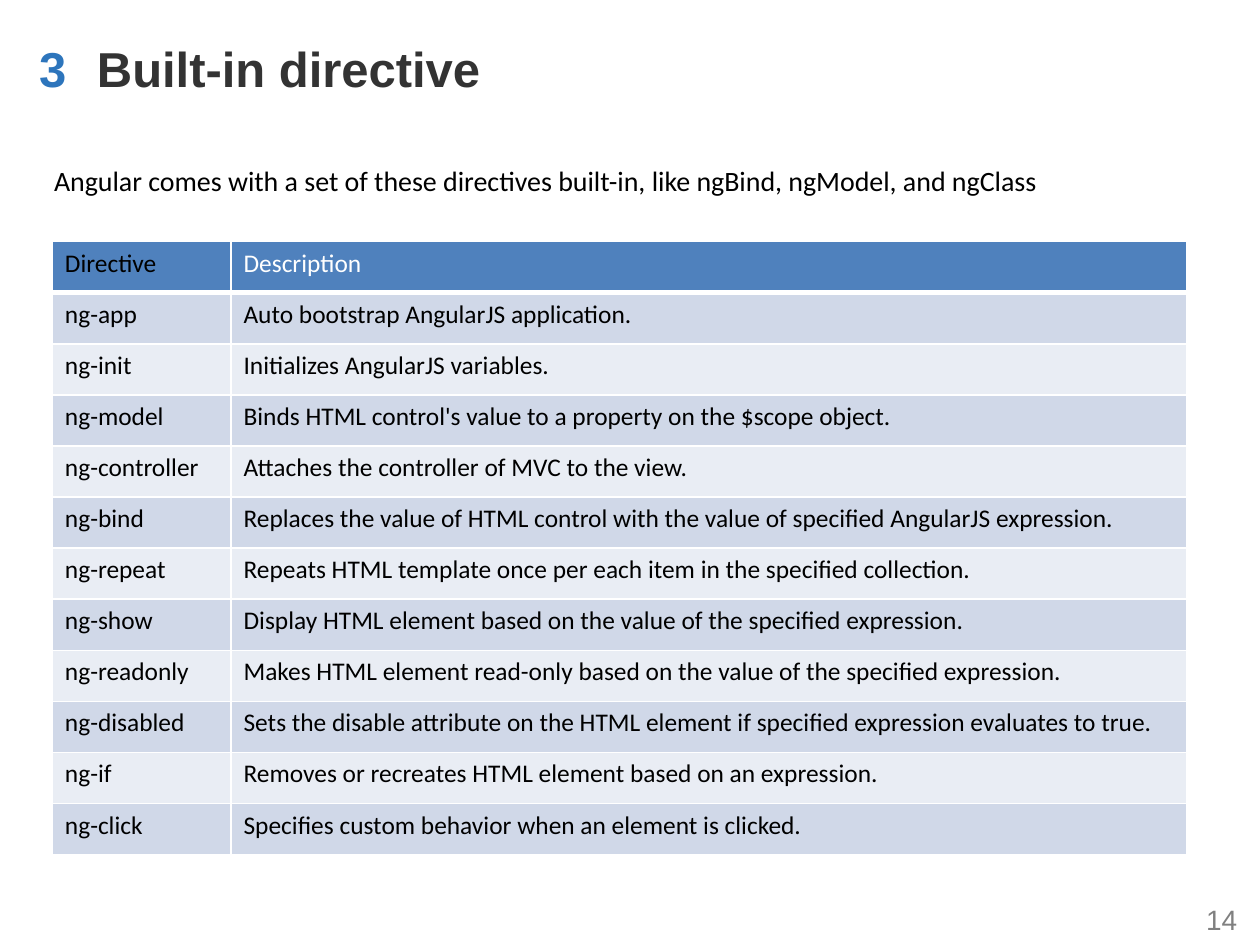
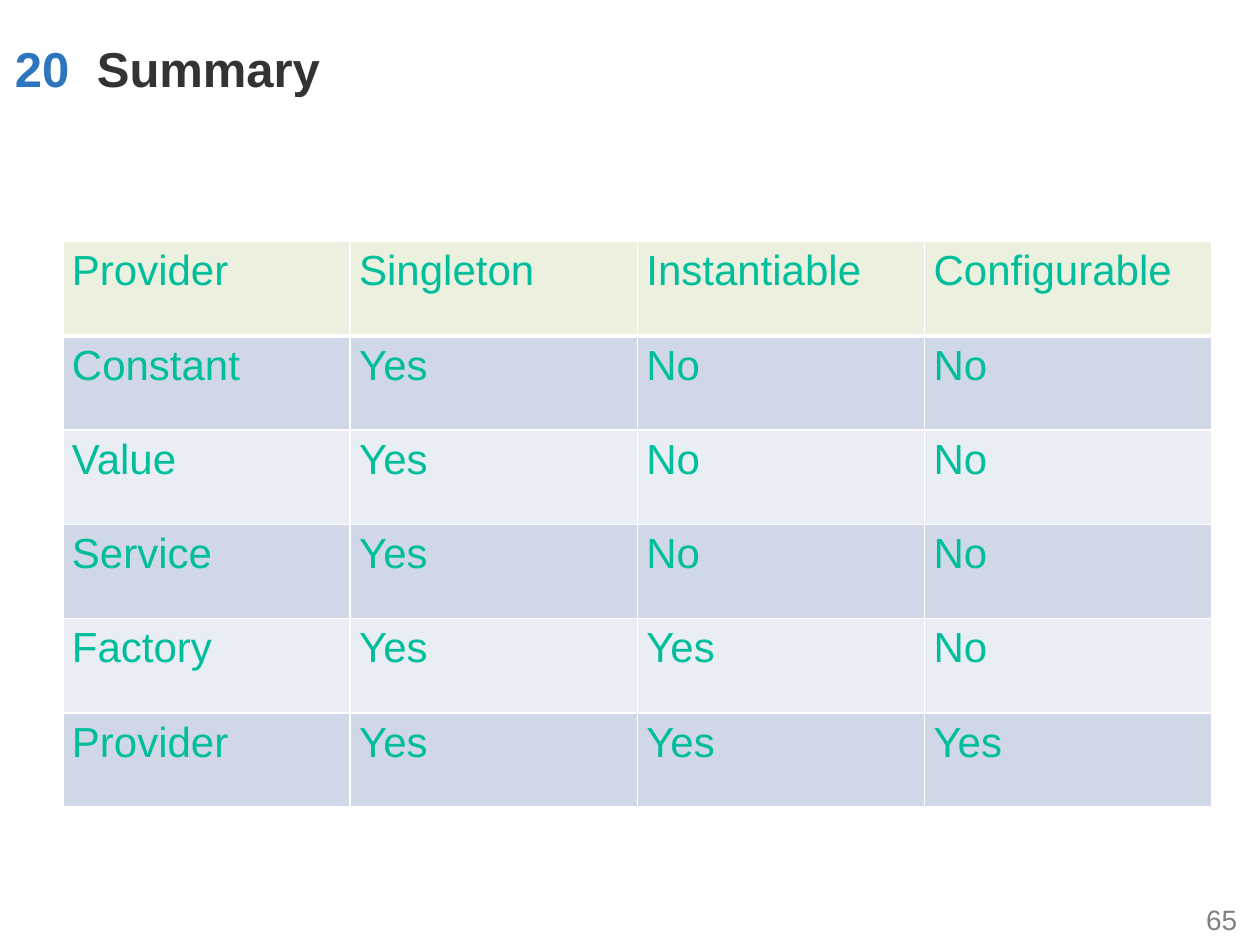
from collections import namedtuple
from dataclasses import dataclass

from lxml import etree
from pptx import Presentation
from pptx.dml.color import RGBColor
from pptx.enum.text import MSO_ANCHOR, MSO_AUTO_SIZE, PP_ALIGN
from pptx.oxml.ns import qn
from pptx.util import Cm, Pt

LEFT, CENTER, RIGHT = PP_ALIGN.LEFT, PP_ALIGN.CENTER, PP_ALIGN.RIGHT
TOP, MIDDLE = MSO_ANCHOR.TOP, MSO_ANCHOR.MIDDLE
NO_AUTOFIT = MSO_AUTO_SIZE.NONE
TITLE_ONLY = 5

Box = namedtuple("Box", "left top width height")
TextStyle = namedtuple("TextStyle", "font size color bold", defaults=(False,))


@dataclass(frozen=True)
class Theme:
    title: TextStyle = TextStyle("Arial", 28, "333333", True)
    number: TextStyle = TextStyle("Arial", 28, "2D75BC", True)
    page: TextStyle = TextStyle("Arial", 16, "808080")
    intro: TextStyle = TextStyle("Calibri", 16, "000000")
    directive: TextStyle = TextStyle("Calibri", 14.5, "000000")
    directive_header: TextStyle = TextStyle("Calibri", 14.5, "FFFFFF")
    summary: TextStyle = TextStyle("Arial", 24, "00BE9C")
    blue_header: str = "4F81BD"
    green_header: str = "EBF1DE"
    bands: tuple = ("D0D8E8", "E9EDF4")
    border: str = "FFFFFF"
    thin: float = 1
    thick: float = 3


THEME = Theme()
SLIDE = Box(0, 0, 25.4, 19.05)
HEADING = Box(0, 0.64, 23.92, 1.45)
TITLE_INDENT = 1.7
PAGE = Box(23.92, 18.03, 1.27, 1.02)
INTRO = Box(0.84, 3.17, 23.93, 0.95)
DIRECTIVE_TABLE = Box(1.06, 4.87, 22.86, 12.37)
SUMMARY_TABLE = Box(1.27, 4.87, 23.16, 11.4)

DIRECTIVES = [
    ("Directive", "Description"),
    ("ng-app", "Auto bootstrap AngularJS application."),
    ("ng-init", "Initializes AngularJS variables."),
    ("ng-model", "Binds HTML control's value to a property on the $scope object."),
    ("ng-controller", "Attaches the controller of MVC to the view."),
    ("ng-bind", "Replaces the value of HTML control with the value of specified AngularJS expression."),
    ("ng-repeat", "Repeats HTML template once per each item in the specified collection."),
    ("ng-show", "Display HTML element based on the value of the specified expression."),
    ("ng-readonly", "Makes HTML element read-only based on the value of the specified expression."),
    ("ng-disabled", "Sets the disable attribute on the HTML element if specified expression evaluates to true."),
    ("ng-if", "Removes or recreates HTML element based on an expression."),
    ("ng-click", "Specifies custom behavior when an element is clicked."),
]
PROVIDERS = [
    ("Provider", "Singleton", "Instantiable", "Configurable"),
    ("Constant", "Yes", "No", "No"),
    ("Value", "Yes", "No", "No"),
    ("Service", "Yes", "No", "No"),
    ("Factory", "Yes", "Yes", "No"),
    ("Provider", "Yes", "Yes", "Yes"),
]


def to_cm(box):
    return [Cm(length) for length in box]


def write(text_frame, text, style, alignment=LEFT):
    text_frame.text = text
    paragraph = text_frame.paragraphs[0]
    paragraph.alignment = alignment
    paragraph.font.name = style.font
    paragraph.font.size = Pt(style.size)
    paragraph.font.bold = style.bold
    paragraph.font.color.rgb = RGBColor.from_string(style.color)


def add_text(slide, box, text, style, alignment=LEFT, anchor=MIDDLE):
    text_frame = slide.shapes.add_textbox(*to_cm(box)).text_frame
    text_frame.word_wrap = True
    text_frame.vertical_anchor = anchor
    write(text_frame, text, style, alignment)


def add_heading(slide, box, number, number_left, title):
    title_shape = slide.shapes.title
    title_box = Box(box.left + TITLE_INDENT, box.top, box.width - TITLE_INDENT, box.height)
    title_shape.left, title_shape.top, title_shape.width, title_shape.height = to_cm(title_box)
    title_shape.text_frame.auto_size = NO_AUTOFIT
    title_shape.text_frame.vertical_anchor = MIDDLE
    write(title_shape.text_frame, title, THEME.title)
    number_box = Box(box.left + number_left, box.top, TITLE_INDENT - number_left, box.height)
    add_text(slide, number_box, number, THEME.number, CENTER)


def add_borders(cell, top, bottom):
    properties = cell._tc.get_or_add_tcPr()
    widths = {"a:lnL": THEME.thin, "a:lnR": THEME.thin, "a:lnT": top, "a:lnB": bottom}
    for tag, width in widths.items():
        line = etree.SubElement(properties, qn(tag), w=str(Pt(width)))
        fill = etree.SubElement(line, qn("a:solidFill"))
        etree.SubElement(fill, qn("a:srgbClr"), val=THEME.border)


def add_banded_table(slide, box, rows, column_widths, header_fill, style, margin):
    row_height = box.height / len(rows)
    table = slide.shapes.add_table(len(rows), len(column_widths), *to_cm(box)).table
    for column, width in zip(table.columns, column_widths):
        column.width = Cm(width)
    for row_index, values in enumerate(rows):
        table.rows[row_index].height = Cm(row_height)
        color = THEME.bands[(row_index - 1) % 2] if row_index else header_fill
        top = THEME.thick if row_index == 1 else THEME.thin
        bottom = THEME.thick if row_index == 0 else THEME.thin
        for column_index, value in enumerate(values):
            cell = table.cell(row_index, column_index)
            cell.margin_left = cell.margin_right = Cm(margin)
            cell.vertical_anchor = TOP
            write(cell.text_frame, value, style)
            add_borders(cell, top, bottom)
            cell.fill.solid()
            cell.fill.fore_color.rgb = RGBColor.from_string(color)
    return table


def add_slide(presentation, number, number_left, title, page):
    slide = presentation.slides.add_slide(presentation.slide_layouts[TITLE_ONLY])
    add_heading(slide, HEADING, number, number_left, title)
    add_text(slide, PAGE, page, THEME.page, RIGHT)
    return slide


def build_directive_slide(presentation):
    slide = add_slide(presentation, "3", 0.43, "Built-in directive", "14")
    add_text(
        slide, INTRO,
        "Angular comes with a set of these directives built-in, like ngBind, ngModel, and ngClass",
        THEME.intro, anchor=TOP,
    )
    name_width = 3.6
    table = add_banded_table(
        slide, DIRECTIVE_TABLE, DIRECTIVES,
        [name_width, DIRECTIVE_TABLE.width - name_width],
        THEME.blue_header, THEME.directive, 0.25,
    )
    write(table.cell(0, 1).text_frame, DIRECTIVES[0][1], THEME.directive_header)


def build_summary_slide(presentation):
    slide = add_slide(presentation, "20", 0, "Summary", "65")
    column_count = len(PROVIDERS[0])
    add_banded_table(
        slide, SUMMARY_TABLE, PROVIDERS,
        [SUMMARY_TABLE.width / column_count] * column_count,
        THEME.green_header, THEME.summary, 0.18,
    )


def main():
    presentation = Presentation()
    presentation.slide_width = Cm(SLIDE.width)
    presentation.slide_height = Cm(SLIDE.height)
    build_directive_slide(presentation)
    build_summary_slide(presentation)
    presentation.save("out.pptx")


if __name__ == "__main__":
    main()
